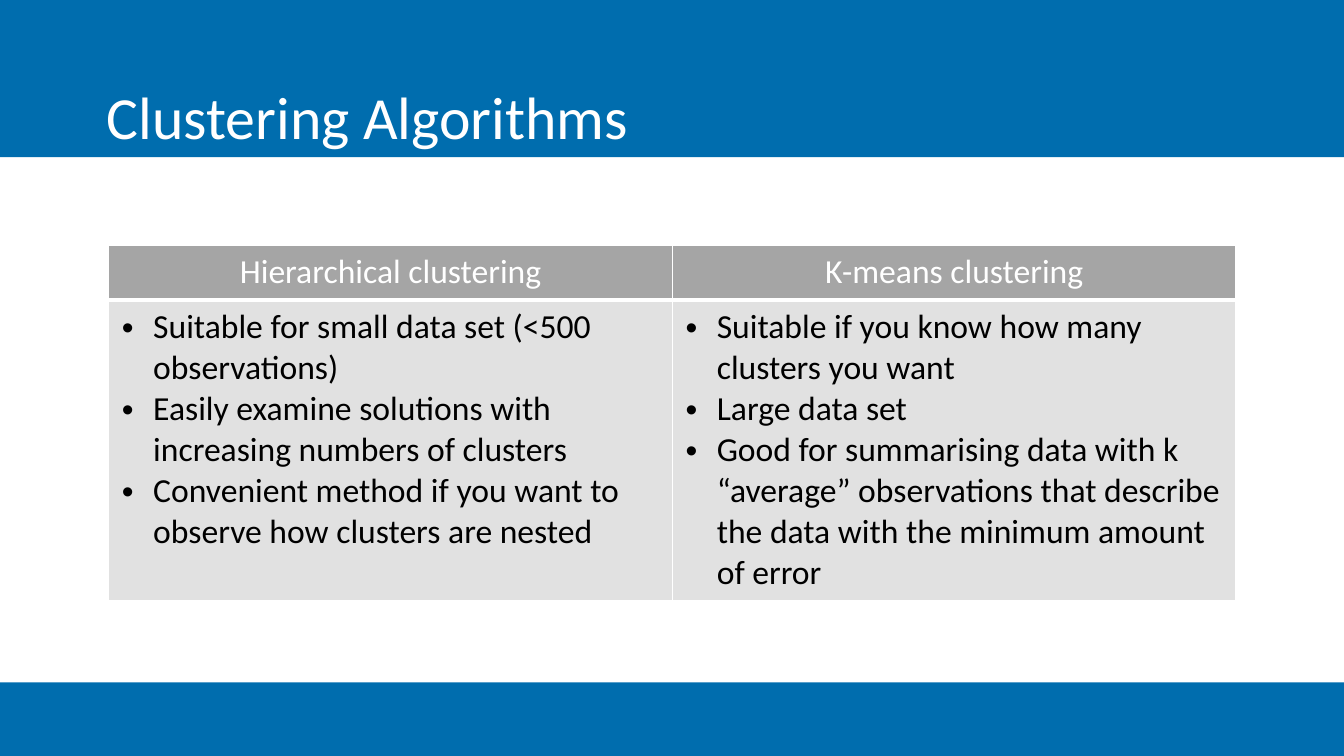
from lxml import etree
from pptx import Presentation
from pptx.dml.color import RGBColor
from pptx.enum.shapes import MSO_SHAPE
from pptx.enum.text import MSO_ANCHOR, PP_ALIGN
from pptx.oxml.ns import qn
from pptx.util import Inches, Pt

RECTANGLE = MSO_SHAPE.RECTANGLE
BOTTOM, TOP = MSO_ANCHOR.BOTTOM, MSO_ANCHOR.TOP
LEFT, CENTER = PP_ALIGN.LEFT, PP_ALIGN.CENTER

BLUE = RGBColor(0x00, 0x6D, 0xAE)
WHITE = RGBColor(0xFF, 0xFF, 0xFF)
BLACK = RGBColor(0x00, 0x00, 0x00)
HEADER_GRAY = RGBColor(0xA5, 0xA5, 0xA5)
BODY_GRAY = RGBColor(0xE1, 0xE1, 0xE1)

FONT = "Calibri"
SLIDE_WIDTH, SLIDE_HEIGHT = 13.33, 7.5
HEADER_HEIGHT, BULLET_INDENT = 0.54, 0.31

METHODS = {
    "Hierarchical clustering": [
        "Suitable for small data set (<500 observations)",
        "Easily examine solutions with increasing numbers of clusters",
        "Convenient method if you want to observe how clusters are nested",
    ],
    "K-means clustering": [
        "Suitable if you know how many clusters you want",
        "Large data set",
        "Good for summarising data with k “average” observations that "
        "describe the data with the minimum amount of error",
    ],
}


def add_span(para, text, size, color):
    span = para.add_run()
    span.text = text
    span.font.name = FONT
    span.font.size = Pt(size)
    span.font.color.rgb = color


def add_band(page, box):
    band = page.shapes.add_shape(RECTANGLE, *map(Inches, box))
    band.shadow.inherit = False
    band.fill.solid()
    band.fill.fore_color.rgb = BLUE
    band.line.fill.background()
    return band


def add_title_band(page, box, title):
    frame = add_band(page, box).text_frame
    frame.word_wrap = True
    frame.vertical_anchor = BOTTOM
    frame.margin_left = Inches(1.06)
    frame.margin_bottom = Inches(0.06)
    para = frame.paragraphs[0]
    para.alignment = LEFT
    add_span(para, title, 42.7, WHITE)


def set_borders(cell, bottom_width):
    properties = cell._tc.get_or_add_tcPr()
    widths = {"a:lnL": 1, "a:lnR": 1, "a:lnT": 1, "a:lnB": bottom_width}
    for tag, width in widths.items():
        line = etree.SubElement(properties, qn(tag), w=str(Pt(width)))
        fill = etree.SubElement(line, qn("a:solidFill"))
        etree.SubElement(fill, qn("a:srgbClr"), val=str(WHITE))


def add_bullet(para):
    properties = para._p.get_or_add_pPr()
    properties.set("marL", str(Inches(BULLET_INDENT)))
    properties.set("indent", str(-Inches(BULLET_INDENT)))
    etree.SubElement(properties, qn("a:buFont"), typeface="Arial")
    etree.SubElement(properties, qn("a:buChar"), char="•")


def fill_cell(cell, lines, fill, color, bottom_width, bulleted):
    set_borders(cell, bottom_width)
    cell.fill.solid()
    cell.fill.fore_color.rgb = fill
    cell.vertical_anchor = TOP
    cell.margin_left = cell.margin_right = Inches(0.13)
    cell.margin_top = cell.margin_bottom = Inches(0.07)
    frame = cell.text_frame
    for index, line in enumerate(lines):
        para = frame.add_paragraph() if index else frame.paragraphs[0]
        if bulleted:
            add_bullet(para)
        para.alignment = LEFT if bulleted else CENTER
        add_span(para, line, 24, color)


def add_comparison(page, box, methods):
    width, height = box[2:]
    table = page.shapes.add_table(2, len(methods), *map(Inches, box)).table
    table.first_row = table.horz_banding = False
    table.rows[0].height = Inches(HEADER_HEIGHT)
    table.rows[1].height = Inches(height - HEADER_HEIGHT)
    for index, (name, points) in enumerate(methods.items()):
        table.columns[index].width = Inches(width / len(methods))
        fill_cell(table.cell(0, index), [name], HEADER_GRAY, WHITE, 3, False)
        fill_cell(table.cell(1, index), points, BODY_GRAY, BLACK, 1, True)


def main():
    deck = Presentation()
    deck.slide_width = Inches(SLIDE_WIDTH)
    deck.slide_height = Inches(SLIDE_HEIGHT)
    page = deck.slides.add_slide(deck.slide_layouts[6])

    # Title and footer bands
    add_title_band(page, (0, 0, SLIDE_WIDTH, 1.56), "Clustering Algorithms")
    add_band(page, (0, 6.77, SLIDE_WIDTH, SLIDE_HEIGHT - 6.77))

    # Comparison of the two methods
    add_comparison(page, (1.08, 2.43, 11.18, 3.47), METHODS)
    deck.save("out.pptx")


if __name__ == "__main__":
    main()
